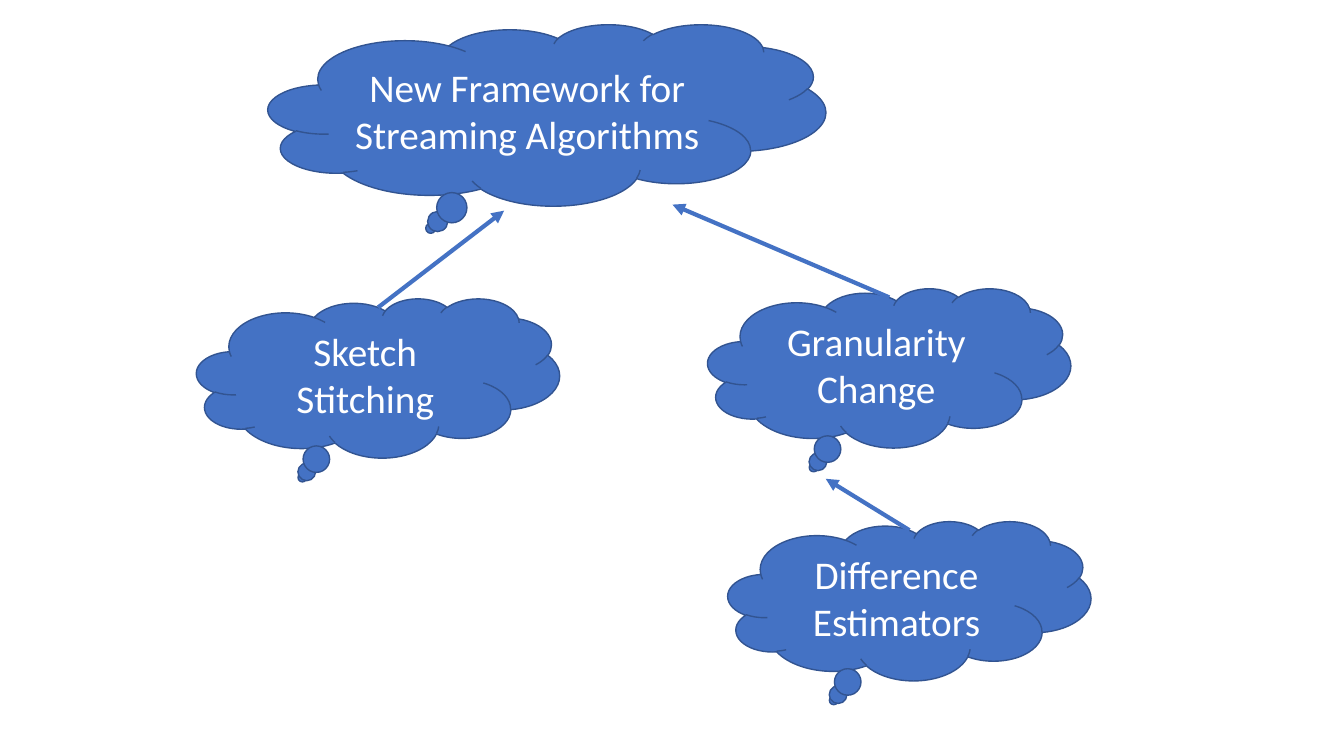
from dataclasses import dataclass

from lxml import etree
from pptx import Presentation
from pptx.dml.color import RGBColor
from pptx.enum.shapes import MSO_CONNECTOR, MSO_SHAPE
from pptx.enum.text import MSO_ANCHOR, PP_ALIGN
from pptx.oxml.ns import qn
from pptx.util import Inches, Pt

CLOUD = MSO_SHAPE.CLOUD_CALLOUT
STRAIGHT = MSO_CONNECTOR.STRAIGHT
MIDDLE = MSO_ANCHOR.MIDDLE
CENTER = PP_ALIGN.CENTER
BLANK_LAYOUT = 6


@dataclass(frozen=True)
class Theme:
    fill: RGBColor = RGBColor.from_string("4472C4")
    outline: RGBColor = RGBColor.from_string("325491")
    text: RGBColor = RGBColor.from_string("FFFFFF")
    font: str = "Calibri"
    text_size: Pt = Pt(28)
    outline_width: Pt = Pt(1)
    arrow_width: Pt = Pt(3)


class ConceptMap:
    def __init__(self, slide, theme):
        self.slide = slide
        self.theme = theme

    def cloud(self, text, left, top, width=3.6, height=1.58):
        shape = self.slide.shapes.add_shape(
            CLOUD, Inches(left), Inches(top), Inches(width), Inches(height)
        )
        shape.shadow.inherit = False
        shape.fill.solid()
        shape.fill.fore_color.rgb = self.theme.fill
        shape.line.color.rgb = self.theme.outline
        shape.line.width = self.theme.outline_width
        text_frame = shape.text_frame
        text_frame.word_wrap = True
        text_frame.vertical_anchor = MIDDLE
        text_frame.text = text
        paragraph = text_frame.paragraphs[0]
        paragraph.alignment = CENTER
        font = paragraph.runs[0].font
        font.name = self.theme.font
        font.size = self.theme.text_size
        font.color.rgb = self.theme.text

    def arrow(self, start, end):
        connector = self.slide.shapes.add_connector(
            STRAIGHT, *(Inches(value) for value in (*start, *end))
        )
        connector.line.color.rgb = self.theme.fill
        connector.line.width = self.theme.arrow_width
        properties = connector.element.spPr
        line = properties.find(qn("a:ln"))
        etree.SubElement(line, qn("a:tailEnd"), type="triangle")
        etree.SubElement(properties, qn("a:effectLst"))


def main():
    presentation = Presentation()
    presentation.slide_width = Inches(13.33)
    presentation.slide_height = Inches(7.5)
    slide = presentation.slides.add_slide(presentation.slide_layouts[BLANK_LAYOUT])
    concept_map = ConceptMap(slide, Theme())

    concept_map.cloud("Difference Estimators", 7.22, 5.17)
    concept_map.cloud("Sketch Stitching", 1.95, 2.96)
    concept_map.cloud("Granularity Change", 7.02, 2.86)
    concept_map.cloud("New Framework for Streaming Algorithms", 2.66, 0.24, 5.53, 1.8)

    concept_map.arrow((3.75, 3.05), (5, 2.09))
    concept_map.arrow((8.82, 2.95), (6.67, 2.03))
    concept_map.arrow((9.02, 5.26), (8.19, 4.75))

    presentation.save("out.pptx")


if __name__ == "__main__":
    main()
